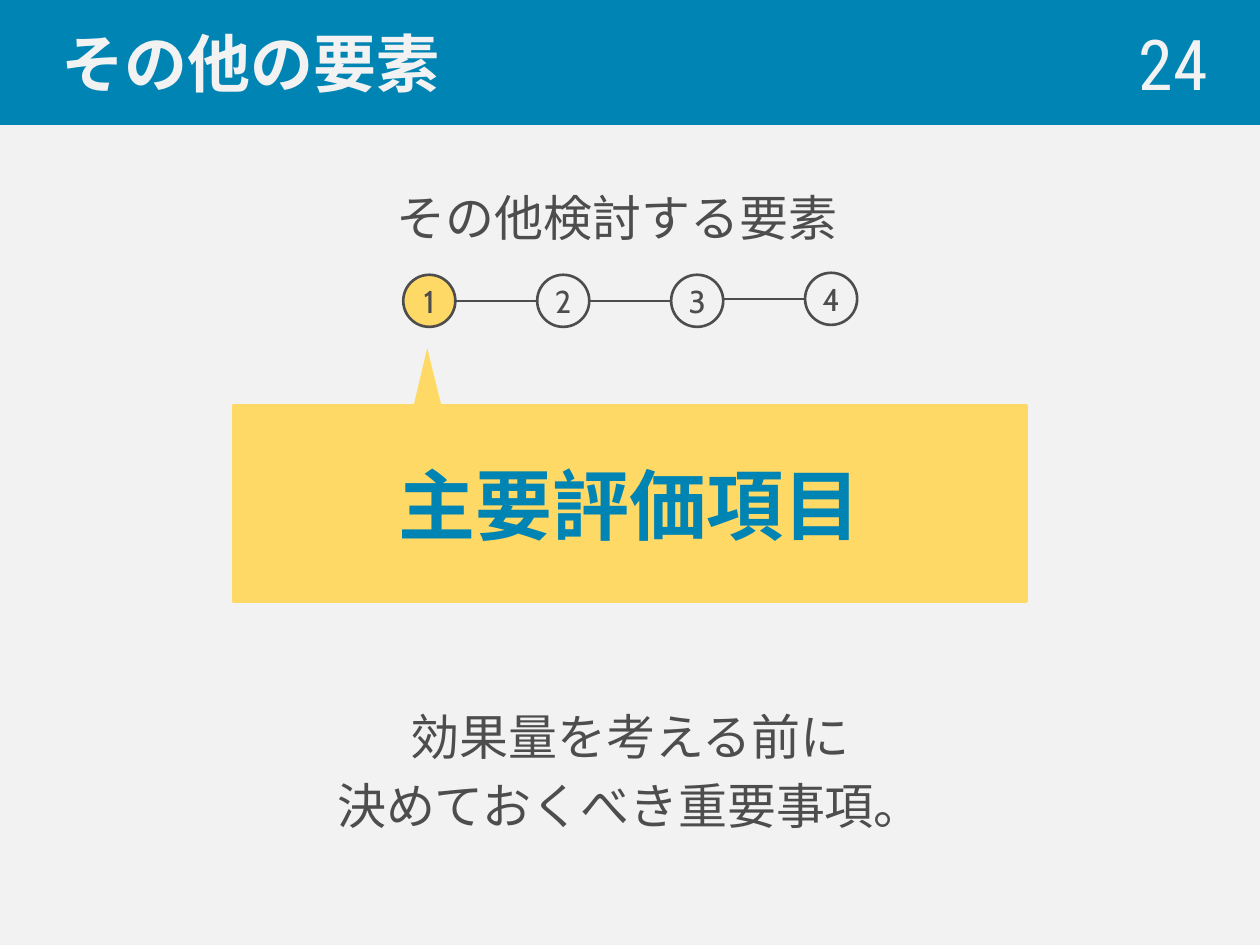
from dataclasses import dataclass

from lxml.etree import SubElement
from pptx import Presentation
from pptx.dml.color import RGBColor
from pptx.enum.shapes import MSO_CONNECTOR as Link, MSO_SHAPE as Shape
from pptx.enum.text import MSO_ANCHOR as Anchor, PP_ALIGN as Align
from pptx.oxml.ns import qn
from pptx.util import Cm, Pt


@dataclass(frozen=True)
class Theme:
    blue: str = "0084B4"
    yellow: str = "FFD966"
    ink: str = "4D4D4D"
    paper: str = "F2F2F2"
    body_font: str = "Cabin"
    title_font: str = "Noto Sans CJK JP"
    number_font: str = "Roboto Condensed"
    step_size: int = 18
    body_size: int = 28
    title_size: int = 36
    number_size: int = 40
    key_size: int = 44
    stroke: float = 1.5


THEME = Theme()


def write(frame, text, size=THEME.body_size, font=THEME.body_font, color=THEME.ink,
          bold=False, align=Align.CENTER, anchor=Anchor.MIDDLE, wrap=True,
          indent=0, after=0, inset=None):
    frame.word_wrap = wrap
    frame.vertical_anchor = anchor
    if inset is not None:
        frame.margin_left = frame.margin_right = Cm(inset)
        frame.margin_top = frame.margin_bottom = Cm(inset)
    for index, line in enumerate(text.split("\n")):
        paragraph = frame.paragraphs[0] if index == 0 else frame.add_paragraph()
        paragraph.alignment = align
        paragraph.space_after = Pt(after)
        if indent:
            paragraph._p.get_or_add_pPr().set("marL", str(Cm(indent)))
        run = paragraph.add_run()
        run.text = line
        run.font.size = Pt(size)
        run.font.name = font
        run.font.bold = bold
        run.font.color.rgb = RGBColor.from_string(color)
        SubElement(run._r.get_or_add_rPr(), qn("a:ea"), typeface=font)


class Painter:
    def __init__(self, slide, theme):
        self.slide = slide
        self.theme = theme
        self.shapes = slide.shapes

    def background(self, color):
        fill = self.slide.background.fill
        fill.solid()
        fill.fore_color.rgb = RGBColor.from_string(color)

    def group(self):
        return Painter.inside(self, self.slide.shapes.add_group_shape())

    @classmethod
    def inside(cls, parent, group):
        painter = cls(parent.slide, parent.theme)
        painter.shapes = group.shapes
        return painter

    def text(self, box, words, **style):
        label = self.shapes.add_textbox(*map(Cm, box))
        write(label.text_frame, words, **style)

    def shape(self, kind, box, fill=None, line=None, words="", **style):
        figure = self.shapes.add_shape(kind, *map(Cm, box))
        figure.shadow.inherit = False
        if fill:
            figure.fill.solid()
            figure.fill.fore_color.rgb = RGBColor.from_string(fill)
        else:
            figure.fill.background()
        if line:
            figure.line.color.rgb = RGBColor.from_string(line)
            figure.line.width = Pt(self.theme.stroke)
        else:
            figure.line.fill.background()
        if words:
            write(figure.text_frame, words, **style)
        return figure

    def line(self, start, end, color):
        link = self.shapes.add_connector(Link.STRAIGHT, *map(Cm, (*start, *end)))
        link.line.color.rgb = RGBColor.from_string(color)
        link.line.width = Pt(self.theme.stroke)
        SubElement(link._element.spPr, qn("a:effectLst"))


def draw_steps(painter, current, left=8.13, pitch=2.7, diameter=1.05):
    theme = painter.theme
    radius = diameter / 2
    tops = (5.54, 5.54, 5.54, 5.5)
    for index, top in enumerate(tops):
        x = left + index * pitch
        painter.shape(Shape.OVAL, (x, top, diameter, diameter),
                      fill=theme.yellow if index + 1 == current else None,
                      line=theme.ink, words=str(index + 1),
                      size=theme.step_size, inset=0)
        if index:
            y = top + radius
            painter.line((x - pitch + diameter, y), (x, y), theme.ink)


def main():
    deck = Presentation()
    deck.slide_width, deck.slide_height = Cm(25.4), Cm(19.05)
    painter = Painter(deck.slides.add_slide(deck.slide_layouts[6]), THEME)
    painter.background(THEME.paper)

    painter.shape(Shape.RECTANGLE, (0, 0, 25.4, 2.5), fill=THEME.blue, line=THEME.blue,
                  words="その他の要素", size=THEME.title_size, font=THEME.title_font,
                  color=THEME.paper, bold=True, align=Align.LEFT, indent=1)
    painter.text((19.7, 0.48, 4.9, 1.55), "24", size=THEME.number_size,
                 font=THEME.number_font, color=THEME.paper, align=Align.RIGHT)
    painter.text((7.75, 3.65, 9.5, 1.45), "その他検討する要素",
                 align=Align.LEFT, anchor=Anchor.TOP, wrap=False)

    painter.shape(Shape.RECTANGLE, (4.7, 8.17, 16, 3.96), fill=THEME.yellow,
                  line=THEME.yellow, words="主要評価項目", size=THEME.key_size,
                  color=THEME.blue, bold=True)
    pointer = painter.shape(Shape.ISOSCELES_TRIANGLE, (8.3, 7.02, 0.64, 1.32),
                            fill=THEME.yellow)
    pointer.adjustments[0] = 0.49

    painter.text((4.7, 14.12, 16, 2.87), "効果量を考える前に\n決めておくべき重要事項。",
                 anchor=Anchor.TOP, after=6)
    draw_steps(painter.group(), current=1)
    deck.save("out.pptx")


if __name__ == "__main__":
    main()
